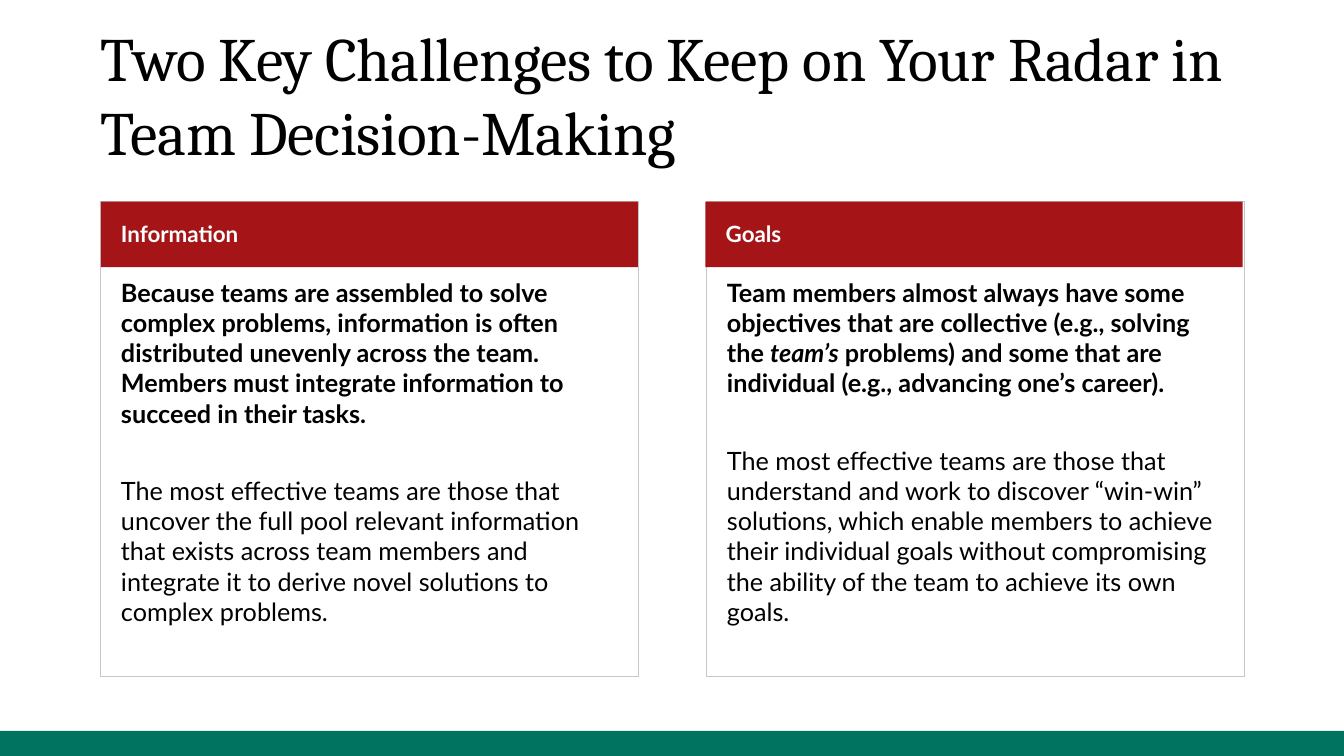
from dataclasses import dataclass

from pptx import Presentation
from pptx.dml.color import RGBColor
from pptx.enum.shapes import MSO_SHAPE as Preset
from pptx.enum.text import MSO_ANCHOR as Anchor, MSO_AUTO_SIZE as AutoSize, PP_ALIGN as Align
from pptx.util import Cm, Pt


@dataclass(frozen=True)
class Theme:
    green: RGBColor = RGBColor(0x00, 0x73, 0x60)
    red: RGBColor = RGBColor(0xA5, 0x14, 0x17)
    border: RGBColor = RGBColor(0xC4, 0xC7, 0xC7)
    black: RGBColor = RGBColor(0, 0, 0)
    white: RGBColor = RGBColor(0xFF, 0xFF, 0xFF)
    title_font: str = "Cambria"
    body_font: str = "Lato"
    title_size: Pt = Pt(44)
    heading_size: Pt = Pt(16)
    body_size: Pt = Pt(18)


theme = Theme()


def add_box(left, top, width, height, fill, inset_top=0, border=None):
    box = page.shapes.add_shape(Preset.RECTANGLE, Cm(left), Cm(top), Cm(width), Cm(height))
    box.shadow.inherit = False
    box.fill.solid()
    box.fill.fore_color.rgb = fill
    if border is None:
        box.line.fill.background()
    else:
        box.line.color.rgb = border
        box.line.width = Pt(0.5)
    frame = box.text_frame
    frame.word_wrap = True
    frame.vertical_anchor = Anchor.TOP
    frame.margin_left, frame.margin_top = Cm(0.51), Cm(inset_top)
    frame.margin_right = frame.margin_bottom = Cm(0.38)
    return frame


def style(para, name, size, color, bold=False, after=0):
    para.alignment = Align.LEFT
    para.space_before = Pt(0)
    para.space_after = Pt(after)
    para.line_spacing = 1.0
    para.font.name = name
    para.font.size = size
    para.font.color.rgb = color
    para.font.bold = bold


deck = Presentation()
deck.slide_width, deck.slide_height = Cm(33.87), Cm(19.05)
page = deck.slides.add_slide(deck.slide_layouts[5])

add_box(0, 18.42, 33.87, 0.63, theme.green)

title = page.shapes.title
title.left, title.top, title.width, title.height = Cm(2.54), Cm(0), Cm(28.78), Cm(4.22)
frame = title.text_frame
frame.text = "Two Key Challenges to Keep on Your Radar in Team Decision-Making"
frame.word_wrap = True
frame.auto_size = AutoSize.NONE
frame.vertical_anchor = Anchor.BOTTOM
frame.margin_left = frame.margin_top = frame.margin_right = frame.margin_bottom = 0
heading = frame.paragraphs[0]
style(heading, theme.title_font, theme.title_size, theme.black, after=12)
heading.runs[0].font._element.set("spc", "-20")

challenges = [
    (2.54, 2.54, "Information",
     [("Because teams are assembled to solve complex problems, information is often "
       "distributed unevenly across the team. Members must integrate information to "
       "succeed in their tasks.", False)],
     "The most effective teams are those that uncover the full pool relevant information "
     "that exists across team members and integrate it to derive novel solutions to "
     "complex problems."),
    (17.78, 17.81, "Goals",
     [("Team members almost always have some objectives that are collective (e.g., "
       "solving the ", False),
      ("team’s", True),
      (" problems) and some that are individual (e.g., advancing one’s career).", False)],
     "The most effective teams are those that understand and work to discover “win-win” "
     "solutions, which enable members to achieve their individual goals without "
     "compromising the ability of the team to achieve its own goals."),
]

for header_left, card_left, name, problem, remedy in challenges:
    card = add_box(card_left, 5.08, 13.54, 11.96, theme.white, 1.9, theme.border)
    para = card.paragraphs[0]
    for text, italic in problem:
        span = para.add_run()
        span.text = text
        if italic:
            span.font.italic = True
    style(para, theme.body_font, theme.body_size, theme.black, bold=True, after=33.6)
    para = card.add_paragraph()
    para.text = remedy
    style(para, theme.body_font, theme.body_size, theme.black, after=6)

    header = add_box(header_left, 5.08, 13.54, 1.65, theme.red, 0.46)
    header.text = name
    style(header.paragraphs[0], theme.body_font, theme.heading_size, theme.white, bold=True)

deck.save("out.pptx")
